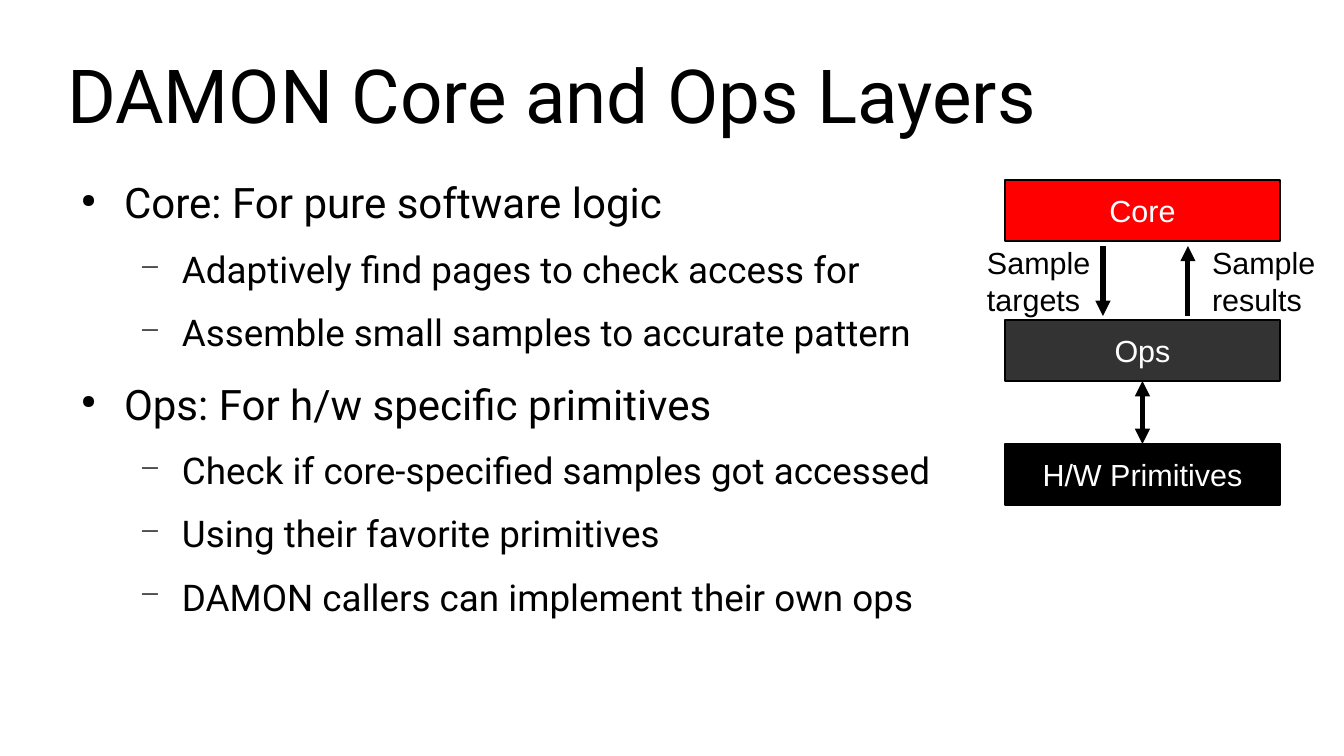
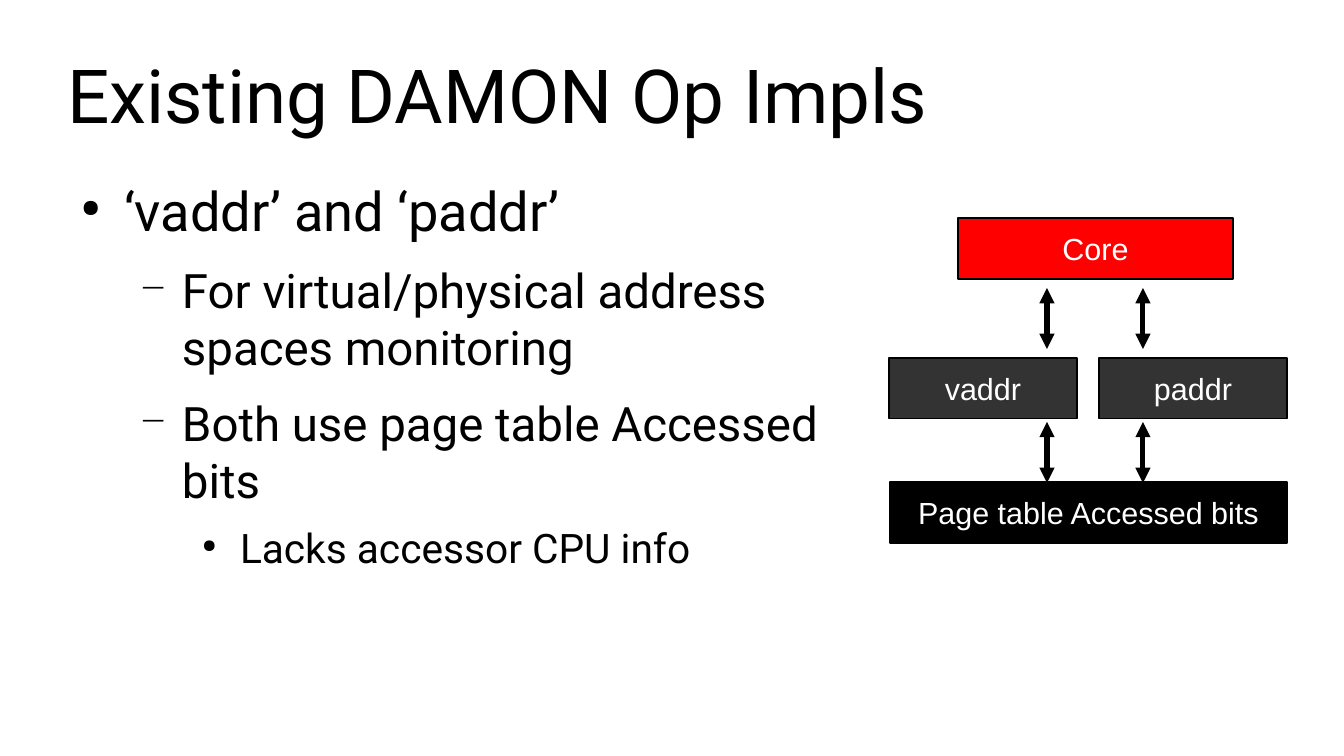
from dataclasses import dataclass

import lxml.etree
import pptx
import pptx.dml.color
import pptx.enum.shapes
import pptx.enum.text
import pptx.oxml.ns
import pptx.slide
import pptx.util

# Shared look
EMU_PER_PX = 914400 / 122
COLORS = {"black": "000000", "white": "FFFFFF", "core": "FF0000", "ops": "333333"}
HEADING_FONT, DIAGRAM_FONT = "Roboto", "Arial"
TITLE_AREA = (67, 30, 1210, 127)
BODY_TOP, BODY_HEIGHT = 177, 439
BOX_HEIGHT = 61
ROW_OFFSETS = (0, 140, 264)  # core, ops and hardware rows of a diagram


@dataclass(frozen=True)
class BulletStyle:
    mark: str
    mark_percent: int
    left: int
    hanging: int
    space_before: float


@dataclass(frozen=True)
class Bullet:
    text: str
    level: int = 0


@dataclass(frozen=True)
class Box:
    text: str
    left: int
    row: int
    width: int
    fill: str


@dataclass(frozen=True)
class Label:
    text: str
    left: int
    top: int


@dataclass(frozen=True)
class Arrow:
    x: int
    start: int
    end: int
    both_ends: bool = True


@dataclass(frozen=True)
class Topic:
    title: str
    body_width: int
    level_sizes: tuple[float, ...]
    bullets: tuple[Bullet, ...]
    diagram_top: int
    boxes: tuple[Box, ...]
    arrows: tuple[Arrow, ...]
    labels: tuple[Label, ...] = ()
    joined: tuple[tuple[int, int], ...] = ()  # upper and lower box indexes


BULLET_STYLES = (
    BulletStyle("●", 45, 57, 43, 14.2),
    BulletStyle("−", 75, 115, 43, 11.3),
    BulletStyle("●", 45, 173, 38, 8.5),
)

TOPICS = (
    Topic(
        title="DAMON Core and Ops Layers",
        body_width=909,
        level_sizes=(24.8, 21.7),
        bullets=(
            Bullet("Core: For pure software logic"),
            Bullet("Adaptively find pages to check access for", 1),
            Bullet("Assemble small samples to accurate pattern", 1),
            Bullet("Ops: For h/w specific primitives"),
            Bullet("Check if core-specified samples got accessed", 1),
            Bullet("Using their favorite primitives", 1),
            Bullet("DAMON callers can implement their own ops", 1),
        ),
        diagram_top=180,
        boxes=(
            Box("Core", 1005, 0, 275, "core"),
            Box("Ops", 1005, 1, 275, "ops"),
            Box("H/W Primitives", 1005, 2, 275, "black"),
        ),
        arrows=(Arrow(1103, 246, 316, False), Arrow(1188, 316, 246, False)),
        labels=(
            Label("Sample\vtargets", 975, 238),
            Label("Sample\vresults", 1200, 238),
        ),
        joined=((1, 2),),
    ),
    Topic(
        title="Existing DAMON Op Impls",
        body_width=787,
        level_sizes=(32, 28, 24),
        bullets=(
            Bullet("‘vaddr’ and ‘paddr’"),
            Bullet("For virtual/physical address spaces monitoring", 1),
            Bullet("Both use page table Accessed bits", 1),
            Bullet("Lacks accessor CPU info", 2),
        ),
        diagram_top=218,
        boxes=(
            Box("Core", 958, 0, 275, "core"),
            Box("vaddr", 889, 1, 188, "ops"),
            Box("Page table Accessed bits", 890, 2, 397, "black"),
            Box("paddr", 1099, 1, 188, "ops"),
        ),
        arrows=tuple(
            Arrow(x, top, top + 61) for top in (288, 422) for x in (1047, 1143)
        ),
    ),
)


def px(length: int) -> pptx.util.Emu:
    return pptx.util.Emu(round(length * EMU_PER_PX))


def rgb(name: str) -> pptx.dml.color.RGBColor:
    return pptx.dml.color.RGBColor.from_string(COLORS[name])


def add_xml(parent, tag: str, **attributes: str):
    return lxml.etree.SubElement(parent, pptx.oxml.ns.qn(tag), attributes)


def write_text(paragraph, text: str, *, size: float, font: str = DIAGRAM_FONT,
               color: str = "black", align: str = "LEFT") -> None:
    paragraph.text = text
    paragraph.alignment = getattr(pptx.enum.text.PP_ALIGN, align)
    for run in paragraph.runs:
        run.font.name = font
        run.font.size = pptx.util.Pt(size)
        run.font.color.rgb = rgb(color)


def clear_margins(frame) -> None:
    frame.margin_left = frame.margin_right = 0
    frame.margin_top = frame.margin_bottom = 0


def set_title(slide: pptx.slide.Slide, text: str) -> None:
    title = slide.shapes.title
    title.left, title.top, title.width, title.height = map(px, TITLE_AREA)
    frame = title.text_frame
    clear_margins(frame)
    frame.auto_size = pptx.enum.text.MSO_AUTO_SIZE.NONE
    frame.vertical_anchor = pptx.enum.text.MSO_ANCHOR.MIDDLE
    write_text(frame.paragraphs[0], text, size=44, font=HEADING_FONT)


def set_bullet(paragraph, style: BulletStyle) -> None:
    properties = paragraph._p.get_or_add_pPr()
    properties.set("marL", str(px(style.left)))
    properties.set("indent", str(-px(style.hanging)))
    mark_color = add_xml(properties, "a:buClr")
    add_xml(mark_color, "a:srgbClr", val=COLORS["black"])
    add_xml(properties, "a:buSzPct", val=str(style.mark_percent * 1000))
    add_xml(properties, "a:buChar", char=style.mark)


def add_body(slide: pptx.slide.Slide, topic: Topic) -> None:
    body = slide.shapes.add_textbox(
        px(TITLE_AREA[0]), px(BODY_TOP), px(topic.body_width), px(BODY_HEIGHT))
    frame = body.text_frame
    frame.word_wrap = True
    clear_margins(frame)
    for index, bullet in enumerate(topic.bullets):
        paragraph = frame.add_paragraph() if index else frame.paragraphs[0]
        style = BULLET_STYLES[bullet.level]
        set_bullet(paragraph, style)
        paragraph.level = bullet.level
        if index:
            paragraph.space_before = pptx.util.Pt(style.space_before)
        write_text(paragraph, bullet.text, size=topic.level_sizes[bullet.level],
                   font=HEADING_FONT)


def add_box(slide: pptx.slide.Slide, box: Box, diagram_top: int):
    layer = slide.shapes.add_shape(
        pptx.enum.shapes.MSO_SHAPE.RECTANGLE, px(box.left),
        px(diagram_top + ROW_OFFSETS[box.row]), px(box.width), px(BOX_HEIGHT))
    layer.shadow.inherit = False
    layer.fill.solid()
    layer.fill.fore_color.rgb = rgb(box.fill)
    layer.line.color.rgb = rgb("black")
    layer.line.width = pptx.util.Pt(0)
    frame = layer.text_frame
    frame.vertical_anchor = pptx.enum.text.MSO_ANCHOR.MIDDLE
    write_text(frame.paragraphs[0], box.text, size=18, color="white", align="CENTER")
    return layer


def add_label(slide: pptx.slide.Slide, label: Label) -> None:
    caption = slide.shapes.add_textbox(px(label.left), px(label.top), px(128), px(81))
    frame = caption.text_frame
    frame.word_wrap = False
    frame.auto_size = pptx.enum.text.MSO_AUTO_SIZE.SHAPE_TO_FIT_TEXT
    write_text(frame.paragraphs[0], label.text, size=18)


def add_arrow(slide: pptx.slide.Slide, arrow: Arrow):
    link = slide.shapes.add_connector(
        pptx.enum.shapes.MSO_CONNECTOR.STRAIGHT,
        px(arrow.x), px(arrow.start), px(arrow.x), px(arrow.end))
    link.line.color.rgb = rgb("black")
    link.line.width = pptx.util.Pt(3)
    outline = link.line._get_or_add_ln()
    if arrow.both_ends:
        add_xml(outline, "a:headEnd", type="triangle")
    add_xml(outline, "a:tailEnd", type="triangle")
    add_xml(link._element.spPr, "a:effectLst")
    return link


def add_topic(deck, topic: Topic) -> None:
    slide = deck.slides.add_slide(deck.slide_layouts.get_by_name("Title Only"))
    set_title(slide, topic.title)
    add_body(slide, topic)
    # Layer diagram
    layers = [add_box(slide, box, topic.diagram_top) for box in topic.boxes]
    for label in topic.labels:
        add_label(slide, label)
    for arrow in topic.arrows:
        add_arrow(slide, arrow)
    for upper, lower in topic.joined:
        link = add_arrow(slide, Arrow(0, 0, 0))
        link.begin_connect(layers[upper], 2)
        link.end_connect(layers[lower], 0)


def main() -> None:
    deck = pptx.Presentation()
    deck.slide_width, deck.slide_height = px(1344), px(756)
    for topic in TOPICS:
        add_topic(deck, topic)
    deck.save("out.pptx")


if __name__ == "__main__":
    main()
